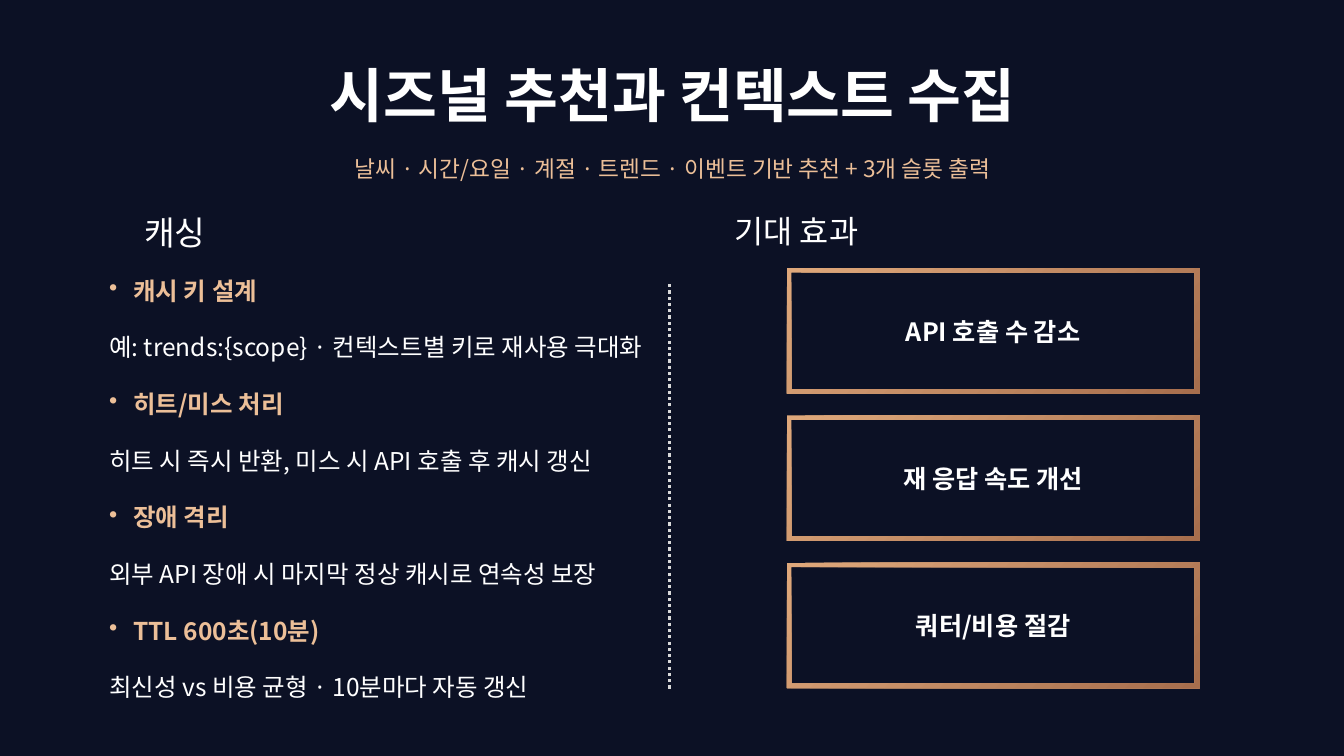
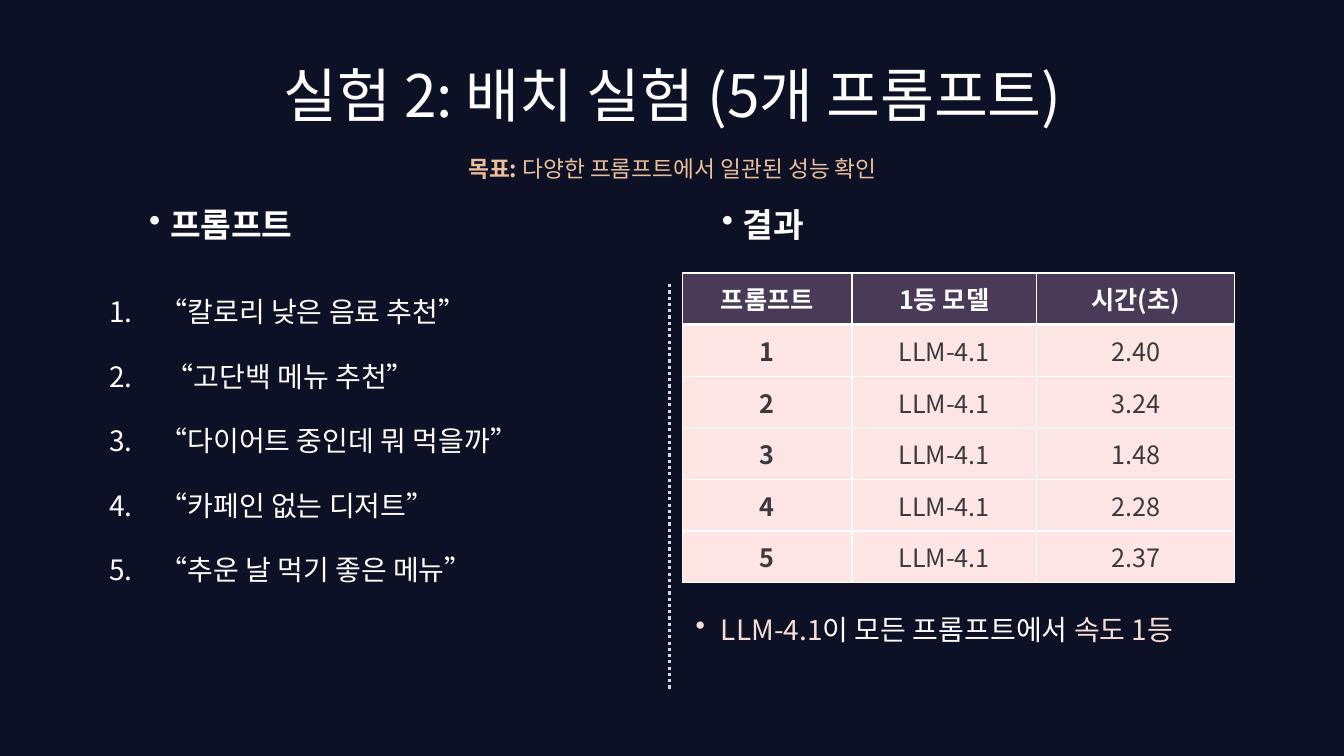
import pptx
import pptx.chart
import pptx.dml.color
import pptx.enum.dml
import pptx.enum.shapes
import pptx.enum.text
import pptx.oxml
import pptx.oxml.ns
import pptx.util
from lxml import etree

Cm = pptx.util.Cm
Pt = pptx.util.Pt
qn = pptx.oxml.ns.qn
ALIGN = pptx.enum.text.PP_ALIGN
ANCHOR = pptx.enum.text.MSO_ANCHOR

FONT = "Noto Sans CJK KR"
COLORS = {
    "navy": "0C1125",
    "white": "FFFFFF",
    "sand": "ECBF98",
    "blush": "F9DDD7",
    "dots": "D9D9D9",
    "gold": "DFA87B",
    "bronze": "A76E4D",
    "plum": "493A58",
    "pink": "FCE5E2",
    "ink": "3A3A3A",
}


def rgb(name):
    return pptx.dml.color.RGBColor.from_string(COLORS[name])


class Deck:
    def __init__(self):
        self.prs = pptx.Presentation()
        self.prs.slide_width = Cm(33.87)
        self.prs.slide_height = Cm(19.05)
        back = self.prs.slide_master.background.fill
        back.solid()
        back.fore_color.rgb = rgb("navy")
        self.slide = None

    def start(self, title, bold, goal):
        """Add a slide with its title, subtitle runs and dotted divider."""
        self.slide = self.prs.slides.add_slide(self.prs.slide_layouts[5])
        self.divide()
        head = self.slide.shapes.title
        self.place(head, 2.34, 1.42, 29.21, 2.13)
        self.frame(head.text_frame, ANCHOR.MIDDLE)
        head.text_frame.text = title
        self.para(head.text_frame.paragraphs[0], 41.8, "white", bold, ALIGN.CENTER, 0.9)
        self.text(2.34, 3.84, 29.21, 0.97, [goal], 16.2, "sand",
                  align=ALIGN.CENTER, line=0.9)

    def place(self, shape, left, top, width, height):
        shape.left, shape.top = Cm(left), Cm(top)
        shape.width, shape.height = Cm(width), Cm(height)

    def frame(self, box, anchor=ANCHOR.TOP):
        box.word_wrap = True
        box.auto_size = pptx.enum.text.MSO_AUTO_SIZE.NONE
        box.vertical_anchor = anchor
        box.margin_left = box.margin_right = Cm(0.13)
        box.margin_top = box.margin_bottom = Cm(0.13)

    def font(self, run, size, color, bold):
        run.font.name = FONT
        run.font.size = Pt(size)
        run.font.bold = bold
        run.font.color.rgb = rgb(color)
        east = etree.Element(qn("a:ea"), typeface=FONT)
        run.font._element.find(qn("a:latin")).addnext(east)

    def para(self, para, size, color, bold=False, align=ALIGN.LEFT, line=1.0):
        para.alignment = align
        para.line_spacing = line
        for run in para.runs:
            self.font(run, size, color, bold)

    def mark(self, para, indent, kind):
        """Give a paragraph a hanging bullet, or a number if kind is 'num'."""
        props = para._p.get_or_add_pPr()
        props.set("marL", str(Cm(indent)))
        props.set("indent", str(-Cm(indent)))
        if kind == "num":
            etree.SubElement(props, qn("a:buAutoNum"), type="arabicPeriod")
        else:
            etree.SubElement(props, qn("a:buChar"), char=kind)

    def text(self, left, top, width, height, lines, size, color, bold=False,
             align=ALIGN.LEFT, line=1.5, gap=0, indent=0, kind=None):
        """Each line is a string or a list of (text, color, bold) runs."""
        box = self.slide.shapes.add_textbox(Cm(left), Cm(top), Cm(width), Cm(height))
        body = box.text_frame
        self.frame(body)
        for i, item in enumerate(lines):
            para = body.add_paragraph() if i else body.paragraphs[0]
            runs = [(item, color, bold)] if isinstance(item, str) else item
            para.alignment = align
            para.line_spacing = line
            if i:
                para.space_before = Pt(gap)
            if kind:
                self.mark(para, indent, kind)
            for words, tint, heavy in runs:
                run = para.add_run()
                run.text = words
                self.font(run, size, tint, heavy)
        return body

    def divide(self):
        line = self.slide.shapes.add_connector(
            pptx.enum.shapes.MSO_CONNECTOR.STRAIGHT,
            Cm(16.87), Cm(7.16), Cm(16.87), Cm(17.37))
        line.line.color.rgb = rgb("dots")
        line.line.width = Pt(2.25)
        line.line.dash_style = pptx.enum.dml.MSO_LINE.ROUND_DOT
        etree.SubElement(line._element.spPr, qn("a:effectLst"))

    def card(self, left, top, width, height, label):
        card = self.slide.shapes.add_shape(
            pptx.enum.shapes.MSO_SHAPE.FRAME, Cm(left), Cm(top), Cm(width), Cm(height))
        card.adjustments[0] = 0.036
        card.shadow.inherit = False
        card.line.fill.background()
        card.fill.gradient()
        card.fill.gradient_angle = 315
        for stop, name in zip(card.fill.gradient_stops, ("gold", "bronze")):
            stop.color.rgb = rgb(name)
        self.frame(card.text_frame, ANCHOR.MIDDLE)
        card.text_frame.text = label
        self.para(card.text_frame.paragraphs[0], 18, "white", True, ALIGN.CENTER)

    def edge(self, cell, side, width):
        props = cell._tc.get_or_add_tcPr()
        line = etree.SubElement(props, qn("a:ln" + side), w=str(Pt(width)))
        fill = etree.SubElement(line, qn("a:solidFill"))
        etree.SubElement(fill, qn("a:srgbClr"), val=COLORS["white"])

    def table(self, left, top, widths, height, rows):
        """Draw a table with a header row and a bold first column."""
        table = self.slide.shapes.add_table(
            len(rows), len(widths), Cm(left), Cm(top),
            Cm(sum(widths)), Cm(height * len(rows))).table
        table.horz_banding = False
        for col, width in zip(table.columns, widths):
            col.width = Cm(width)
        for r, row in enumerate(rows):
            table.rows[r].height = Cm(height)
            for c, words in enumerate(row):
                cell = table.cell(r, c)
                for side in "LRTB":
                    thick = (r, side) in ((0, "B"), (1, "T"))
                    self.edge(cell, side, 3 if thick else 1)
                cell.fill.solid()
                cell.fill.fore_color.rgb = rgb("pink" if r else "plum")
                cell.vertical_anchor = ANCHOR.MIDDLE
                cell.margin_left = cell.margin_right = Cm(0.13)
                cell.margin_top = cell.margin_bottom = Cm(0.13)
                cell.text_frame.text = words
                self.para(cell.text_frame.paragraphs[0], 18,
                          "ink" if r else "white", r == 0 or c == 0, ALIGN.CENTER)


def cache(deck):
    deck.start("시즈널 추천과 컨텍스트 수집", True,
               "날씨 · 시간/요일 · 계절 · 트렌드 · 이벤트 기반 추천 + 3개 슬롯 출력")
    for left, size, words in ((3.51, 23.8, "캐싱"), (18.39, 22.6, "기대 효과")):
        deck.text(left, 5.33, 13.16, 1.22, [words], size, "white", line=0.9)

    topics = (
        ("캐시 키 설계", "예: trends:{scope} · 컨텍스트별 키로 재사용 극대화"),
        ("히트/미스 처리", "히트 시 즉시 반환, 미스 시 API 호출 후 캐시 갱신"),
        ("장애 격리", "외부 API 장애 시 마지막 정상 캐시로 연속성 보장"),
        ("TTL 600초(10분)", "최신성 vs 비용 균형 · 10분마다 자동 갱신"),
    )
    lines = []
    for name, note in topics:
        lines += [[(name, "sand", True)], note]
    body = deck.text(2.62, 6.45, 13.92, 11.84, lines, 17.5, "white", gap=9)
    for para in body.paragraphs[::2]:
        deck.mark(para, 0.61, "•")

    for i, label in enumerate(("API 호출 수 감소", "재 응답 속도 개선", "쿼터/비용 절감")):
        deck.card(19.83, 6.76 + 3.71 * i, 10.4, 3.16, label)


def batch(deck):
    deck.start("실험 2: 배치 실험 (5개 프롬프트)", False,
               [("목표:", "sand", True),
                (" 다양한 프롬프트에서 일관된 성능 확인", "sand", False)])
    for left, words in ((3.63, "프롬프트"), (18.06, "결과")):
        deck.text(left, 5.13, 13, 1.22, [words], 23.8, "white", True,
                  line=0.9, indent=0.53, kind="•")

    asks = ["“칼로리 낮은 음료 추천”", " “고단백 메뉴 추천”", "“다이어트 중인데 뭐 먹을까”",
            "“카페인 없는 디저트”", "“추운 날 먹기 좋은 메뉴”"]
    deck.text(2.62, 6.88, 13.92, 10.49, asks, 20, "white",
              gap=10, indent=1.27, kind="num")

    model = "LLM-4.1"
    times = ("2.40", "3.24", "1.48", "2.28", "2.37")
    rows = [("프롬프트", "1등 모델", "시간(초)")]
    rows += [(str(i), model, time) for i, time in enumerate(times, 1)]
    deck.table(17.2, 6.88, (4.27, 4.65, 5), 1.3, rows)

    found = [(model, "blush", False), ("이 모든 프롬프트에서 ", "white", False),
             ("속도 1등", "blush", False)]
    deck.text(17.4, 14.87, 14, 1.8, [found], 20, "white", indent=0.64, kind="•")


def main():
    deck = Deck()
    cache(deck)
    batch(deck)
    deck.prs.save("out.pptx")


if __name__ == "__main__":
    main()
